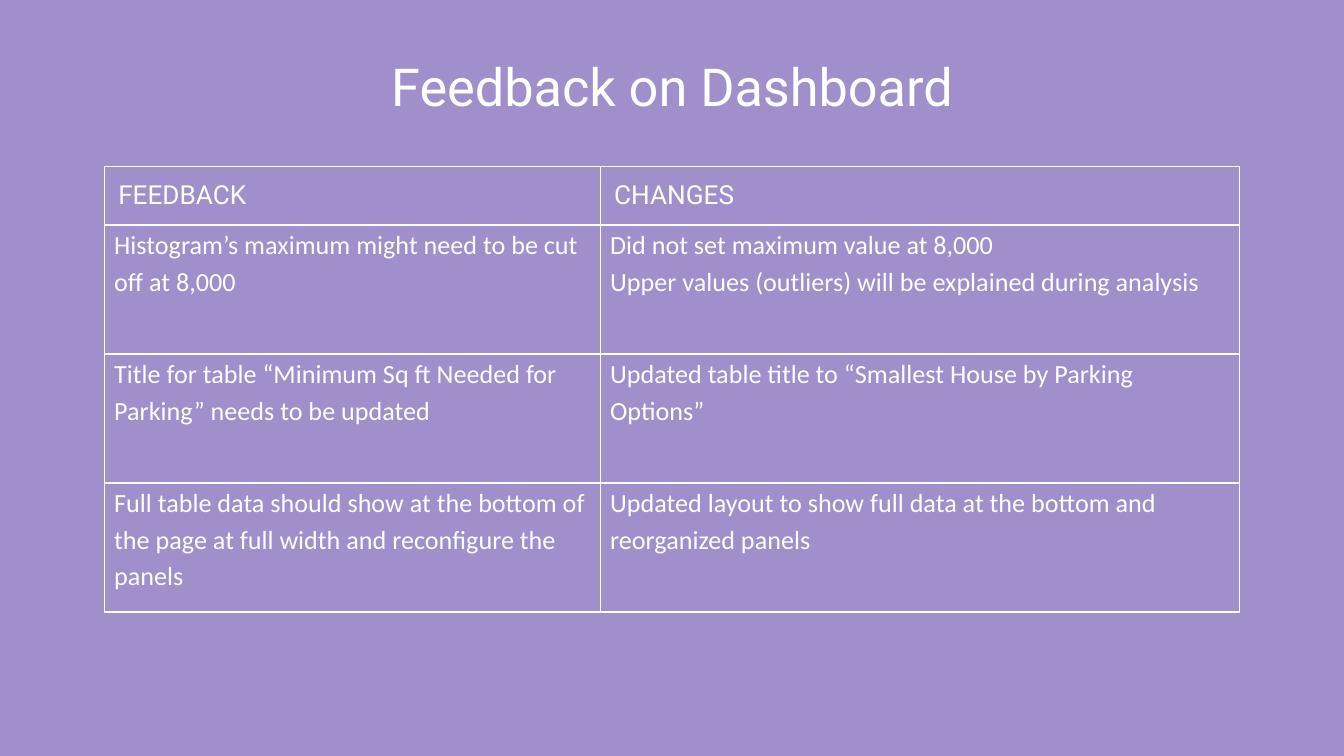
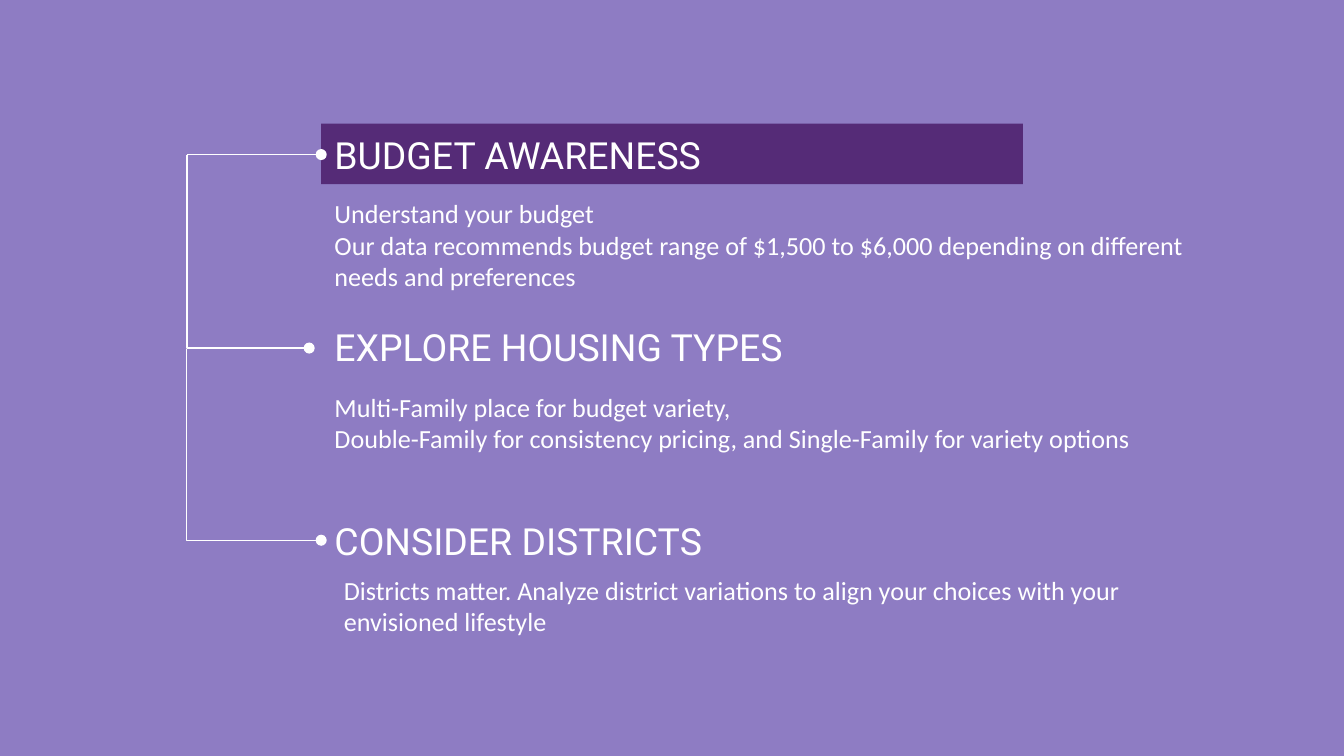
from lxml.etree import SubElement
from pptx import Presentation
from pptx.dml.color import RGBColor
from pptx.enum.shapes import MSO_CONNECTOR, MSO_SHAPE
from pptx.enum.text import MSO_ANCHOR, PP_ALIGN
from pptx.oxml.ns import qn
from pptx.util import Inches, Pt

WHITE = "FFFFFF"
HEADING_FONT, BODY_FONT = "Roboto", "Calibri"
BODY_SIZE = 14
LINE_WIDTH = Pt(0.75)
FEEDBACK_ROWS = [
    (["Histogram’s maximum might need to be cut off at 8,000"],
     ["Did not set maximum value at 8,000",
      "Upper values (outliers) will be explained during analysis"]),
    (["Title for table “Minimum Sq ft Needed for Parking” needs to be updated"],
     ["Updated table title to “Smallest House by Parking Options”"]),
    (["Full table data should show at the bottom of the page at full width "
      "and reconfigure the panels"],
     ["Updated layout to show full data at the bottom and reorganized panels"]),
]
ADVICE = [
    ("BUDGET AWARENESS", (2.39, 0.92, 7.14, 0.46), (2.39, 1.37, 6.55, 1.05),
     ["Understand your budget",
      "Our data recommends budget range of $1,500 to $6,000 depending on "
      "different needs and preferences"]),
    ("EXPLORE HOUSING TYPES", (2.39, 2.35, 5.91, 0.46), (2.39, 2.81, 6.55, 0.78),
     ["Multi-Family place for budget variety,",
      "Double-Family for consistency pricing, and Single-Family for variety options"]),
    ("CONSIDER DISTRICTS", (2.39, 3.79, 5.91, 0.46), (2.46, 4.17, 6.55, 0.65),
     ["Districts matter. Analyze district variations to align your choices "
      "with your envisioned lifestyle"]),
]


def color(value):
    """Turn a hex string into a colour."""
    return RGBColor.from_string(value)


def add_page(deck, background):
    """Add a blank page with a solid background."""
    page = deck.slides.add_slide(deck.slide_layouts[6])
    page.background.fill.solid()
    page.background.fill.fore_color.rgb = color(background)
    return page


def write(frame, lines, font, size, align=PP_ALIGN.LEFT, spacing=1.0):
    """Write each line as a paragraph of white text."""
    for index, line in enumerate(lines):
        para = frame.add_paragraph() if index else frame.paragraphs[0]
        para.alignment = align
        para.line_spacing = spacing
        span = para.add_run()
        span.text = line
        span.font.name = font
        span.font.size = Pt(size)
        span.font.color.rgb = color(WHITE)


def add_text(page, place, lines, font, size, anchor=MSO_ANCHOR.TOP, align=PP_ALIGN.LEFT):
    """Add a wrapping text box with even margins."""
    frame = page.shapes.add_textbox(*map(Inches, place)).text_frame
    frame.word_wrap = True
    frame.vertical_anchor = anchor
    frame.margin_left = frame.margin_right = Inches(0.1)
    frame.margin_top = frame.margin_bottom = Inches(0.1)
    write(frame, lines, font, size, align)


def add_heading(page, place, text, size, align=PP_ALIGN.LEFT):
    """Add a one-line heading centred in its height."""
    add_text(page, place, [text], HEADING_FONT, size, MSO_ANCHOR.MIDDLE, align)


def add_borders(cell):
    """Draw a white line on all four sides of a cell."""
    properties = cell._tc.get_or_add_tcPr()
    for side in ("a:lnL", "a:lnR", "a:lnT", "a:lnB"):
        line = SubElement(properties, qn(side), w=str(LINE_WIDTH))
        fill = SubElement(line, qn("a:solidFill"))
        SubElement(fill, qn("a:srgbClr"), val=WHITE)


def fill_cell(cell, lines, is_header):
    """Format a table cell and write its lines."""
    side, edge = (0.1, 0.1) if is_header else (0.07, 0)
    cell.margin_left = cell.margin_right = Inches(side)
    cell.margin_top = cell.margin_bottom = Inches(edge)
    cell.vertical_anchor = MSO_ANCHOR.MIDDLE if is_header else MSO_ANCHOR.TOP
    add_borders(cell)
    cell.fill.background()
    font = HEADING_FONT if is_header else BODY_FONT
    write(cell.text_frame, lines, font, BODY_SIZE, spacing=1.0 if is_header else 1.15)


def add_feedback_table(page, place, widths, heights):
    """Add the table of feedback and the changes made."""
    rows = [(["FEEDBACK"], ["CHANGES"])] + FEEDBACK_ROWS
    table = page.shapes.add_table(len(rows), len(widths), *map(Inches, place)).table
    table.first_row = table.horz_banding = False
    for column, width in zip(table.columns, widths):
        column.width = Inches(width)
    for row, height in zip(table.rows, heights):
        row.height = Inches(height)
    for row_index, row in enumerate(rows):
        for column_index, lines in enumerate(row):
            fill_cell(table.cell(row_index, column_index), lines, row_index == 0)


def add_band(page, place, fill):
    """Add a plain filled band."""
    band = page.shapes.add_shape(MSO_SHAPE.RECTANGLE, *map(Inches, place))
    band.shadow.inherit = False
    band.fill.solid()
    band.fill.fore_color.rgb = color(fill)
    band.line.fill.background()


def add_line(page, kind, start, end):
    """Add a white connector that ends in a dot."""
    connector = page.shapes.add_connector(kind, *map(Inches, start + end))
    connector.line.color.rgb = color(WHITE)
    connector.line.width = LINE_WIDTH
    SubElement(connector.line._get_or_add_ln(), qn("a:tailEnd"), type="oval")
    SubElement(connector._element.spPr, qn("a:effectLst"))
    return connector


def add_branch(page, start, end):
    """Add a connector that runs down and then right."""
    (left, top), (right, bottom) = start, end
    middle_x, middle_y = (left + right) / 2, (top + bottom) / 2
    half_length, half_height = (bottom - top) / 2, (right - left) / 2
    branch = add_line(page, MSO_CONNECTOR.ELBOW,
                      (middle_x - half_length, middle_y - half_height),
                      (middle_x + half_length, middle_y + half_height))
    properties = branch._element.spPr
    properties.find(qn("a:prstGeom")).set("prst", "bentConnector2")
    frame = properties.find(qn("a:xfrm"))
    frame.set("rot", str(270 * 60000))
    frame.set("flipH", "1")


def build_feedback(deck):
    """Build the page on dashboard feedback."""
    page = add_page(deck, "A08FCB")
    add_heading(page, (0.78, 0.38, 8.44, 0.52), "Feedback on Dashboard", 28, PP_ALIGN.CENTER)
    add_feedback_table(page, (0.78, 1.24, 8.44, 3.4), [3.69, 4.75], [0.41] + [0.96] * 3)


def build_advice(deck):
    """Build the page of branching advice."""
    page = add_page(deck, "8E7CC3")
    add_band(page, (2.39, 0.92, 5.22, 0.45), "552B77")
    for heading, heading_place, body_place, lines in ADVICE:
        add_heading(page, heading_place, heading, 20)
        add_text(page, body_place, lines, BODY_FONT, BODY_SIZE)
    add_line(page, MSO_CONNECTOR.STRAIGHT, (1.39, 1.15), (2.39, 1.15))
    add_branch(page, (1.39, 1.15), (2.3, 2.59))
    add_branch(page, (1.39, 2.6), (2.39, 4.02))


def main():
    """Build and save the deck."""
    deck = Presentation()
    deck.slide_width = Inches(10)
    deck.slide_height = deck.slide_width * 9 // 16
    build_feedback(deck)
    build_advice(deck)
    deck.save("out.pptx")


if __name__ == "__main__":
    main()
